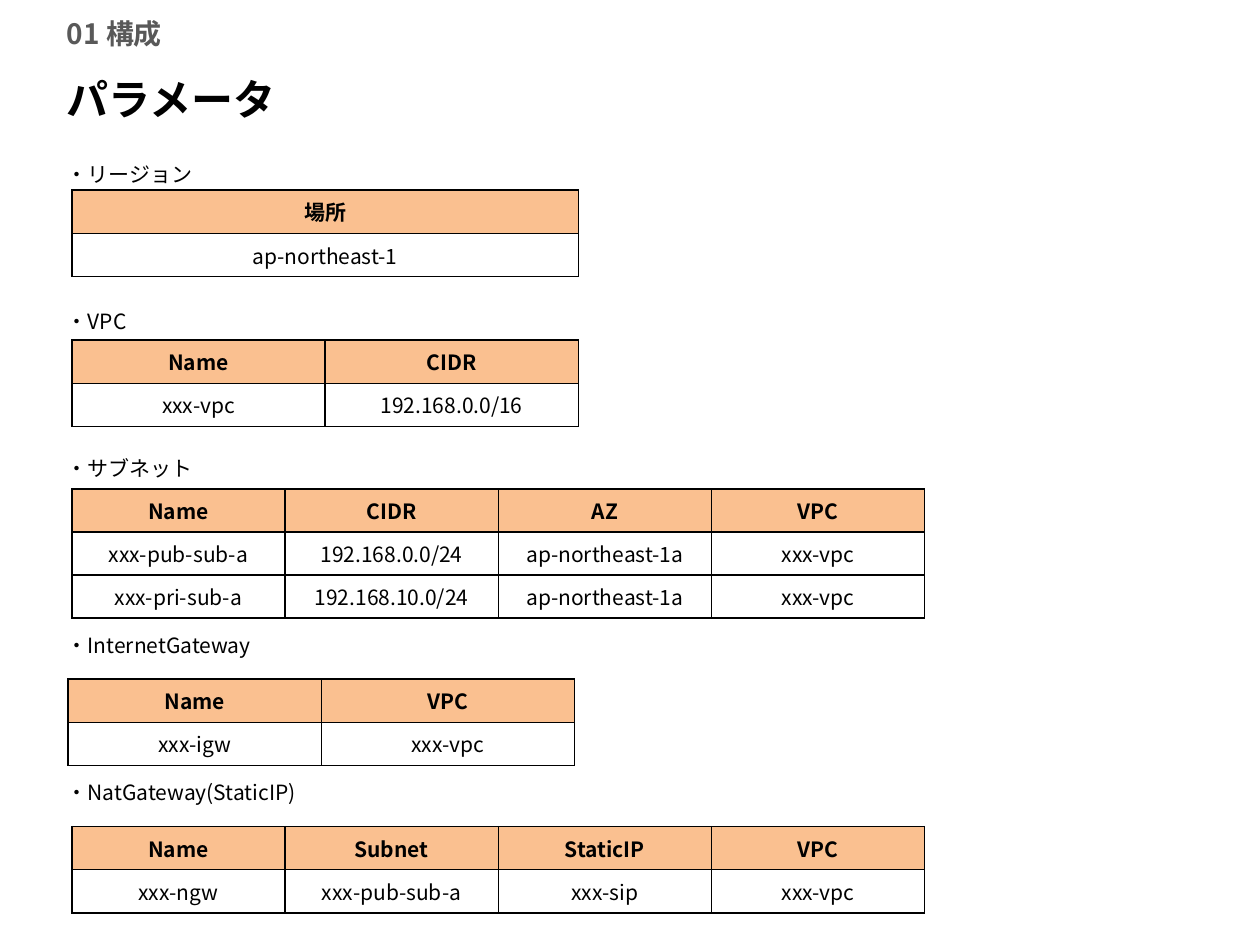
from lxml.etree import SubElement
from pptx import Presentation
from pptx.dml.color import RGBColor
from pptx.enum.text import MSO_ANCHOR, MSO_AUTO_SIZE, PP_ALIGN
from pptx.oxml.ns import qn
from pptx.util import Inches, Pt

FONT = "Noto Sans CJK JP"
BLACK = RGBColor(0, 0, 0)
GRAY = RGBColor(0x59, 0x59, 0x59)
WHITE = RGBColor(0xFF, 0xFF, 0xFF)
ORANGE = RGBColor(0xFA, 0xC0, 0x90)
ROW_HEIGHT = 0.34
LINE = 16.8


def format_text(para, size, color=BLACK, bold=False, align=PP_ALIGN.LEFT):
    para.alignment = align
    for span in para.runs:
        span.font.size = Pt(size)
        span.font.bold = bold
        span.font.color.rgb = color
        span.font.name = FONT
        SubElement(span.font._element, qn("a:ea"), typeface=FONT)


def add_borders(cell):
    properties = cell._tc.get_or_add_tcPr()
    for side in ("lnL", "lnR", "lnT", "lnB"):
        line = SubElement(properties, qn(f"a:{side}"), w=str(Pt(1)))
        fill = SubElement(line, qn("a:solidFill"))
        SubElement(fill, qn("a:srgbClr"), val=str(BLACK))


deck = Presentation()
deck.slide_width, deck.slide_height = Inches(10), Inches(7.5)
page = deck.slides.add_slide(deck.slide_layouts[1])
title, body = page.placeholders

# Section labels, spaced by whole lines to leave room for the tables
body.left, body.top = Inches(0.43), Inches(1.23)
body.width, body.height = Inches(9.19), Inches(5.91)
body.fill.solid()
body.fill.fore_color.rgb = WHITE
frame = body.text_frame
frame.auto_size = MSO_AUTO_SIZE.NONE
frame.margin_top = Inches(0.02)
labels = [("リージョン", 0), ("VPC", 4), ("サブネット", 4),
          ("InternetGateway", 5), ("NatGateway(StaticIP)", 4)]
frame.text = "\n".join(f"・{label}" for label, _ in labels)
for para, (_, lines_before) in zip(frame.paragraphs, labels):
    para.line_spacing = Pt(LINE)
    para.space_before = Pt(LINE * lines_before)
    format_text(para, 12)
    properties = para._p.get_or_add_pPr()
    properties.set("marL", "0")
    properties.set("indent", "0")
    SubElement(properties, qn("a:buNone"))

# Section title and page heading
title.left, title.top = Inches(0.43), Inches(0)
title.width, title.height = Inches(2.91), Inches(0.53)
heading = page.shapes.add_textbox(Inches(0.43), Inches(0.46), Inches(8.38), Inches(0.64))
for box, text, size, color in [(title, "01 構成", 16, GRAY),
                               (heading, "パラメータ", 24, BLACK)]:
    frame = box.text_frame
    frame.text = text
    frame.word_wrap = True
    frame.auto_size = MSO_AUTO_SIZE.NONE
    frame.vertical_anchor = MSO_ANCHOR.MIDDLE
    format_text(frame.paragraphs[0], size, color, bold=True)

# Parameter tables: left, top, width, rows
tables = [
    (0.57, 1.51, 4.02, [["場所"], ["ap-northeast-1"]]),
    (0.57, 2.7, 4.02, [["Name", "CIDR"], ["xxx-vpc", "192.168.0.0/16"]]),
    (0.57, 3.88, 6.77, [
        ["Name", "CIDR", "AZ", "VPC"],
        ["xxx-pub-sub-a", "192.168.0.0/24", "ap-northeast-1a", "xxx-vpc"],
        ["xxx-pri-sub-a", "192.168.10.0/24", "ap-northeast-1a", "xxx-vpc"]]),
    (0.54, 5.39, 4.02, [["Name", "VPC"], ["xxx-igw", "xxx-vpc"]]),
    (0.57, 6.56, 6.77, [
        ["Name", "Subnet", "StaticIP", "VPC"],
        ["xxx-ngw", "xxx-pub-sub-a", "xxx-sip", "xxx-vpc"]]),
]
for left, top, width, rows in tables:
    table = page.shapes.add_table(
        len(rows), len(rows[0]), Inches(left), Inches(top),
        Inches(width), Inches(ROW_HEIGHT * len(rows))).table
    for row, values in enumerate(rows):
        for column, value in enumerate(values):
            cell = table.cell(row, column)
            add_borders(cell)
            cell.fill.solid()
            cell.fill.fore_color.rgb = ORANGE if row == 0 else WHITE
            cell.text_frame.text = value
            format_text(cell.text_frame.paragraphs[0], 12, bold=row == 0,
                        align=PP_ALIGN.CENTER)

deck.save("out.pptx")
